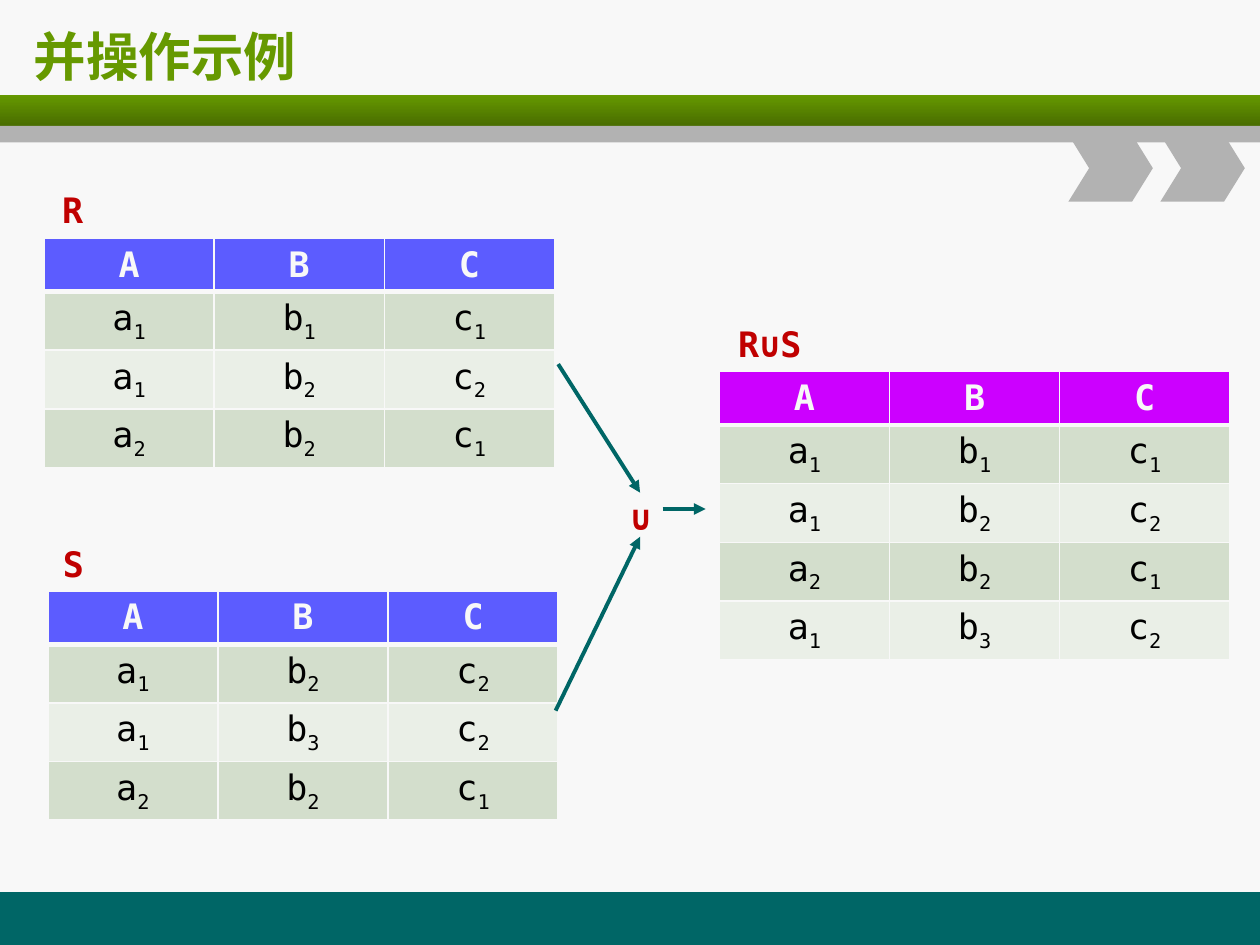
from dataclasses import dataclass

from lxml import etree
from pptx import Presentation
from pptx.dml.color import RGBColor
from pptx.enum.shapes import MSO_CONNECTOR, MSO_SHAPE
from pptx.enum.text import MSO_ANCHOR, PP_ALIGN
from pptx.oxml.ns import qn
from pptx.util import Inches, Pt

RECTANGLE, CHEVRON = MSO_SHAPE.RECTANGLE, MSO_SHAPE.CHEVRON
STRAIGHT = MSO_CONNECTOR.STRAIGHT
LEFT, CENTER, RIGHT = PP_ALIGN.LEFT, PP_ALIGN.CENTER, PP_ALIGN.RIGHT
TOP, MIDDLE = MSO_ANCHOR.TOP, MSO_ANCHOR.MIDDLE

COLORS = {
    "background": "F8F8F8", "teal": "006666", "green": "669900",
    "dark_green": "496D00", "gray": "B2B2B2", "red": "C00000",
    "blue": "5C5CFF", "purple": "CC00FF", "black": "000000",
    "odd_row": "D3DECC", "even_row": "EAEFE7",
}
SANS, MONO = "DejaVu Sans", "DejaVu Sans Mono"
HEADINGS = ("A", "B", "C")
COLUMN_WIDTH, ROW_HEIGHT = 1.35, 0.405


@dataclass
class Relation:
    left: float
    top: float
    header_color: str
    rows: list[str]


@dataclass
class Label:
    text: str
    left: float
    top: float
    width: float
    height: float = 0.44
    size: int = 20
    font: str = MONO
    color: str = "red"
    align: PP_ALIGN = RIGHT
    anchor: MSO_ANCHOR = TOP
    wrap: bool = False


@dataclass
class Arrow:
    start: tuple[float, float]
    end: tuple[float, float]


RELATIONS = [
    Relation(0.35, 1.89, "blue", ["a1 b1 c1", "a1 b2 c2", "a2 b2 c1"]),
    Relation(0.38, 4.69, "blue", ["a1 b2 c2", "a1 b3 c2", "a2 b2 c1"]),
    Relation(5.71, 2.95, "purple",
             ["a1 b1 c1", "a1 b2 c2", "a2 b2 c1", "a1 b3 c2"]),
]
LABELS = [
    Label("并操作示例", 0.17, 0.13, 8.08, 0.62, 30, SANS, "green", LEFT, MIDDLE, True),
    Label("R", 0.38, 1.45, 0.38),
    Label("S", 0.4, 4.26, 0.35),
    Label("R∪S", 5.71, 2.51, 0.75),
    Label("∪", 4.85, 3.88, 0.42),
]
ARROWS = [
    Arrow((4.43, 2.89), (5.08, 3.91)),
    Arrow((4.41, 5.64), (5.08, 4.26)),
    Arrow((5.26, 4.04), (5.6, 4.04)),
]


def rgb(name: str) -> RGBColor:
    return RGBColor.from_string(COLORS[name])


def style_paragraph(paragraph, font: str, size: int, color: str, bold: bool, align) -> None:
    paragraph.alignment = align
    paragraph.font.name = font
    paragraph.font.size = Pt(size)
    paragraph.font.bold = bold
    paragraph.font.color.rgb = rgb(color)


def add_band(slide, kind, left: float, top: float, width: float, height: float, color: str):
    shape = slide.shapes.add_shape(
        kind, Inches(left), Inches(top), Inches(width), Inches(height))
    shape.shadow.inherit = False
    shape.fill.solid()
    shape.fill.fore_color.rgb = rgb(color)
    shape.line.fill.background()
    return shape


def add_label(slide, label: Label) -> None:
    box = slide.shapes.add_textbox(
        Inches(label.left), Inches(label.top), Inches(label.width), Inches(label.height))
    frame = box.text_frame
    frame.word_wrap = label.wrap
    frame.vertical_anchor = label.anchor
    frame.text = label.text
    style_paragraph(frame.paragraphs[0], label.font, label.size, label.color, True, label.align)


def set_borders(cell, top: int, bottom: int) -> None:
    properties = cell._tc.get_or_add_tcPr()
    for side, points in (("L", 1), ("R", 1), ("T", top), ("B", bottom)):
        line = etree.SubElement(properties, qn(f"a:ln{side}"), w=str(Pt(points)))
        fill = etree.SubElement(line, qn("a:solidFill"))
        etree.SubElement(fill, qn("a:srgbClr"), val=COLORS["background"])


def fill_cell(cell, text: str, row: int, header_color: str) -> None:
    is_header = row == 0
    set_borders(cell, 3 if row == 1 else 1, 3 if is_header else 1)
    cell.fill.solid()
    row_color = "odd_row" if row % 2 else "even_row"
    cell.fill.fore_color.rgb = rgb(header_color if is_header else row_color)
    paragraph = cell.text_frame.paragraphs[0]
    style_paragraph(paragraph, MONO, 20, "background" if is_header else "black",
                    is_header, CENTER)
    paragraph.add_run().text = text[0]
    if not is_header:
        subscript = paragraph.add_run()
        subscript.text = text[1:]
        subscript._r.get_or_add_rPr().set("baseline", "-25000")


def add_relation(slide, relation: Relation) -> None:
    rows = [HEADINGS] + [row.split() for row in relation.rows]
    table = slide.shapes.add_table(
        len(rows), len(HEADINGS), Inches(relation.left), Inches(relation.top),
        Inches(COLUMN_WIDTH * len(HEADINGS)), Inches(ROW_HEIGHT * len(rows))).table
    for row, values in enumerate(rows):
        for column, text in enumerate(values):
            fill_cell(table.cell(row, column), text, row, relation.header_color)


def add_arrow(slide, arrow: Arrow) -> None:
    points = [Inches(value) for value in arrow.start + arrow.end]
    connector = slide.shapes.add_connector(STRAIGHT, *points)
    connector.line.color.rgb = rgb("teal")
    connector.line.width = Pt(2.25)
    etree.SubElement(connector.line._get_or_add_ln(), qn("a:tailEnd"), type="triangle")
    etree.SubElement(connector._element.spPr, qn("a:effectLst"))


def main() -> None:
    presentation = Presentation()
    presentation.slide_width, presentation.slide_height = Inches(10), Inches(7.5)
    slide = presentation.slides.add_slide(presentation.slide_layouts[6])
    slide.background.fill.solid()
    slide.background.fill.fore_color.rgb = rgb("background")

    # Footer and header decoration
    add_band(slide, RECTANGLE, 0, 7.08, 10, 0.42, "teal")
    header = add_band(slide, RECTANGLE, 0, 0.75, 10, 0.25, "green")
    header.fill.gradient()
    header.fill.gradient_angle = 270
    for stop, color in zip(header.fill.gradient_stops, ("green", "dark_green")):
        stop.color.rgb = rgb(color)
    add_band(slide, RECTANGLE, 0, 1, 10, 0.13, "gray")
    for left in (8.48, 9.21):
        chevron = add_band(slide, CHEVRON, left, 1.07, 0.67, 0.53, "gray")
        chevron.adjustments[0] = 0.31

    # Relations, their names and the flow between them
    for relation in RELATIONS:
        add_relation(slide, relation)
    for label in LABELS:
        add_label(slide, label)
    for arrow in ARROWS:
        add_arrow(slide, arrow)

    presentation.save("out.pptx")


if __name__ == "__main__":
    main()
